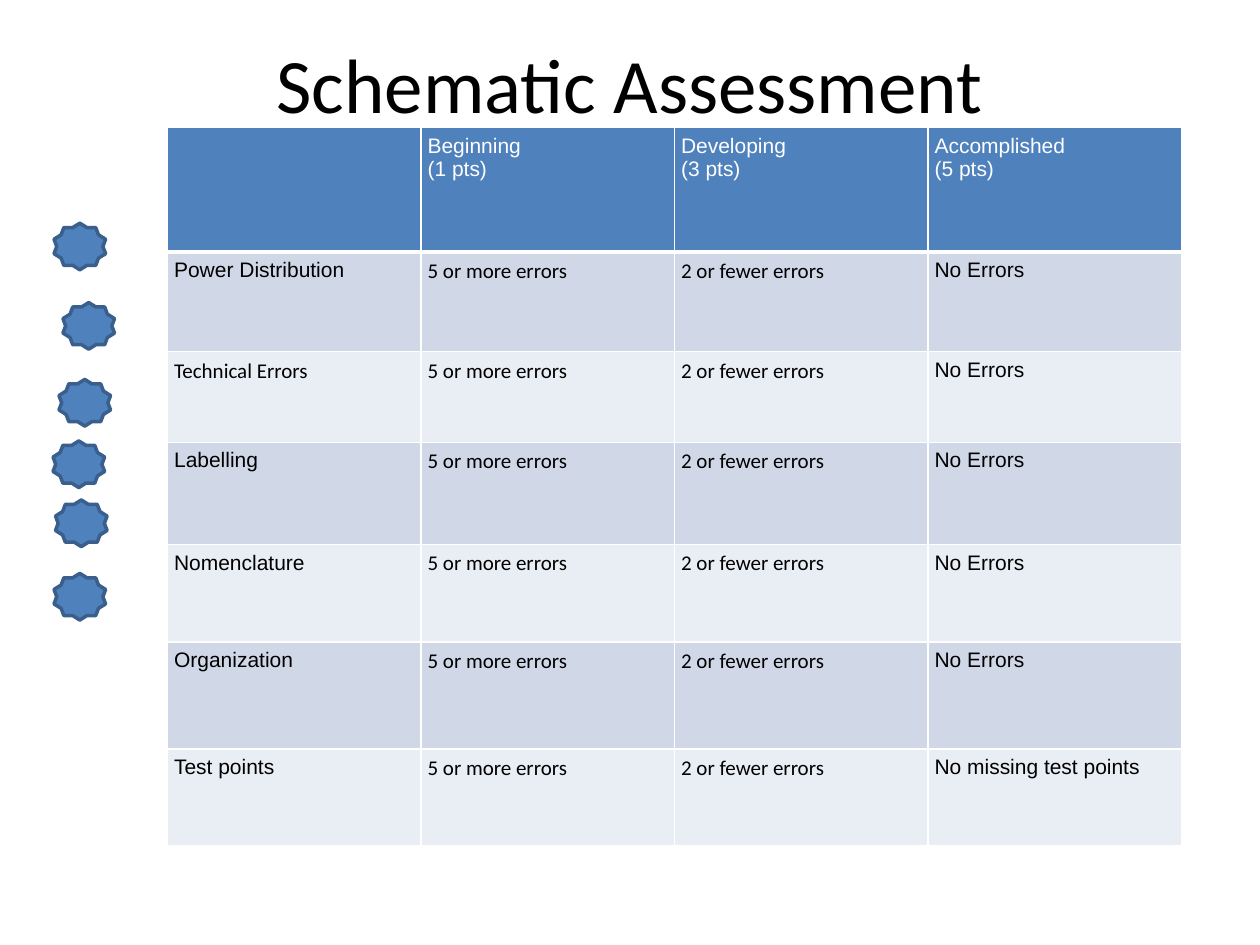
from lxml.etree import SubElement
from pptx import Presentation
from pptx.dml.color import RGBColor
from pptx.enum.shapes import MSO_SHAPE
from pptx.enum.text import MSO_ANCHOR, PP_ALIGN
from pptx.oxml.ns import qn
from pptx.util import Cm, Pt

BLUE, WHITE, BLACK = "4F81BD", "FFFFFF", "000000"
BANDS = ["D0D8E8", "E9EDF4"]
ROW_HEIGHTS = [2.51, 2.01, 1.83, 2.06, 1.96, 2.16, 1.96]
HEADINGS = ["", "Beginning\n(1 pts)", "Developing\n(3 pts)", "Accomplished\n(5 pts)"]
CRITERIA = [
    ("Power Distribution", "Arial", "No Errors"),
    ("Technical Errors", "Calibri", "No Errors"),
    ("Labelling", "Arial", "No Errors"),
    ("Nomenclature", "Arial", "No Errors"),
    ("Organization", "Arial", "No Errors"),
    ("Test points", "Arial", "No missing test points"),
]
STARS = [(1.19, 7.65), (1.09, 11.56), (1.27, 6.1), (1.09, 4.5), (1.12, 10.08), (1.07, 8.89)]


def colour(code):
    return RGBColor.from_string(code)


class RubricPage:
    """Holds the style and the current slide of the assessment rubric."""

    def __init__(self, page):
        self.page = page

    def paragraph(self, para, text, font, size, code):
        para.text = text
        para.font.name = font
        para.font.size = Pt(size)
        para.font.bold = False
        para.font.color.rgb = colour(code)

    def title(self, text):
        box = self.page.shapes.add_textbox(Cm(1.27), Cm(0.76), Cm(22.86), Cm(1.83))
        frame = box.text_frame
        frame.word_wrap = True
        frame.vertical_anchor = MSO_ANCHOR.MIDDLE
        para = frame.paragraphs[0]
        para.alignment = PP_ALIGN.CENTER
        self.paragraph(para, text, "Calibri", 44, BLACK)

    def star(self, left, top):
        star = self.page.shapes.add_shape(
            MSO_SHAPE.STAR_10_POINT, Cm(left), Cm(top), Cm(1.04), Cm(0.94))
        star.shadow.inherit = False
        star.fill.solid()
        star.fill.fore_color.rgb = colour(BLUE)
        star.line.color.rgb = colour("3A5F8C")
        star.line.width = Pt(2)

    def border(self, cell, side, width):
        line = SubElement(cell._tc.get_or_add_tcPr(), qn(f"a:ln{side}"), w=str(Pt(width)))
        fill = SubElement(line, qn("a:solidFill"))
        SubElement(fill, qn("a:srgbClr"), val=WHITE)

    def cell(self, cell, text, font, text_code, fill_code, top=1, bottom=1):
        cell.margin_left = cell.margin_right = Cm(0.13)
        cell.margin_top = cell.margin_bottom = Cm(0.13)
        for side, width in (("L", 1), ("R", 1), ("T", top), ("B", bottom)):
            self.border(cell, side, width)
        cell.fill.solid()
        cell.fill.fore_color.rgb = colour(fill_code)
        self.paragraph(cell.text_frame.paragraphs[0], text, font, 12, text_code)

    def rubric(self):
        table = self.page.shapes.add_table(
            len(ROW_HEIGHTS), len(HEADINGS), Cm(3.38), Cm(2.57),
            Cm(20.44), Cm(sum(ROW_HEIGHTS))).table
        for column in table.columns:
            column.width = Cm(5.11)
        for row, height in zip(table.rows, ROW_HEIGHTS):
            row.height = Cm(height)
        for column, heading in enumerate(HEADINGS):
            self.cell(table.cell(0, column), heading, "Arial", WHITE, BLUE, bottom=3)
        for row, (criterion, font, best) in enumerate(CRITERIA, start=1):
            entries = [(criterion, font), ("5 or more errors", "Calibri"),
                       ("2 or fewer errors", "Calibri"), (best, "Arial")]
            for column, (text, face) in enumerate(entries):
                self.cell(table.cell(row, column), text, face, BLACK,
                          BANDS[(row - 1) % 2], top=3 if row == 1 else 1)


def main():
    deck = Presentation()
    deck.slide_width, deck.slide_height = Cm(25.4), Cm(19.05)
    rubric_page = RubricPage(deck.slides.add_slide(deck.slide_layouts[6]))
    rubric_page.title("Schematic Assessment")
    rubric_page.rubric()
    for left, top in STARS:
        rubric_page.star(left, top)
    deck.save("out.pptx")


if __name__ == "__main__":
    main()
